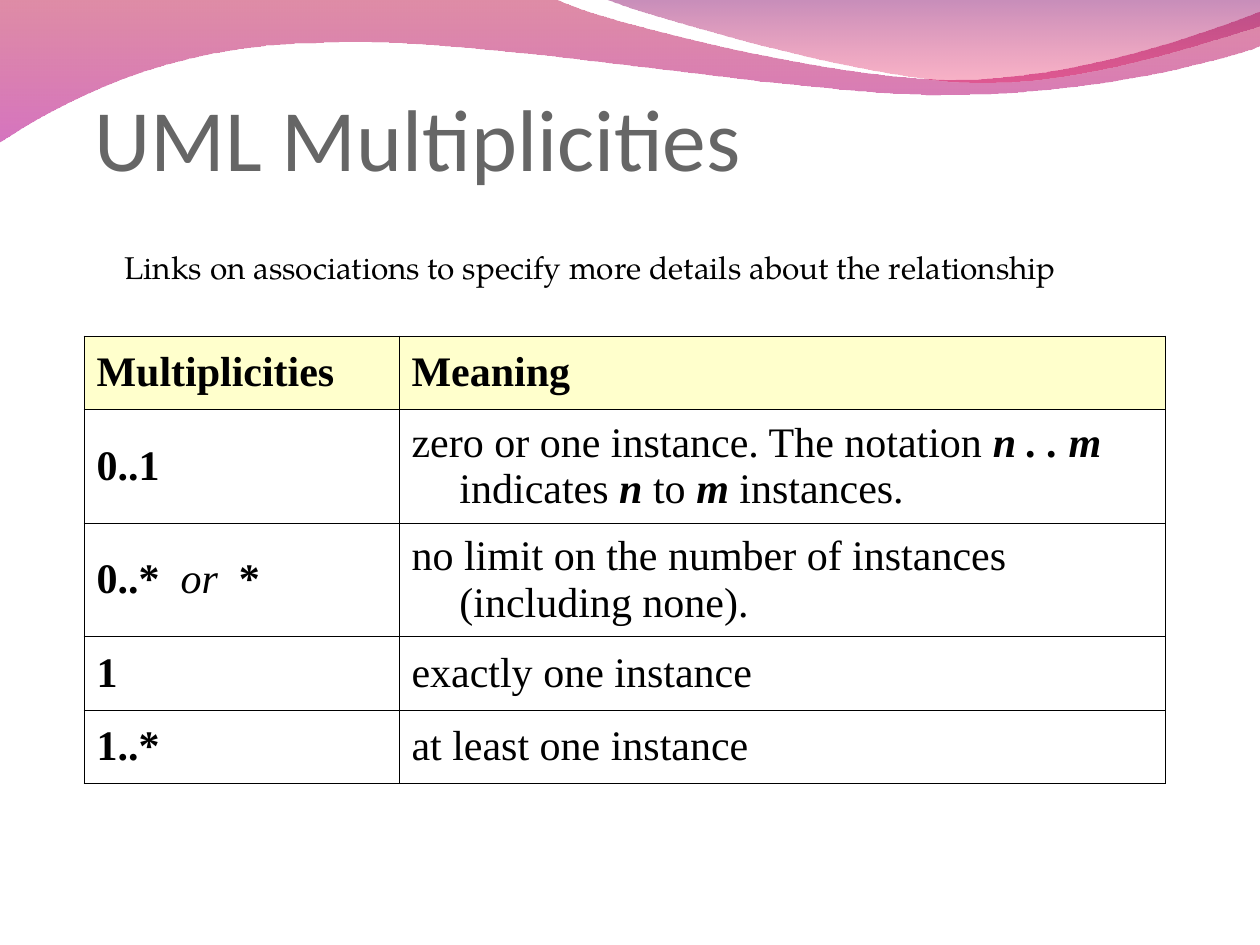
from lxml.etree import SubElement
from pptx import Presentation
from pptx.dml.color import RGBColor
from pptx.enum.text import MSO_ANCHOR
from pptx.oxml.ns import qn
from pptx.util import Inches, Pt

WAVES = [
    ([("B8003B", 45), ("B4008B", 55)], [
        [(0, -0.01)],
        [(4.4, -0.01)],
        [(4.76, 0.17), (6.64, 0.63), (7.58, 0.63)],
        [(8.53, 0.63), (9.58, 0.26), (10, 0.09)],
        [(10.01, 0.36)],
        [(9.83, 0.44), (8.7, 0.76), (7.46, 0.75)],
        [(6.22, 0.75), (3.82, 0.28), (2.57, 0.34)],
        [(1.29, 0.35), (0.46, 0.83), (-0.01, 1.13)],
    ]),
    ([("820066", 45), ("F10044", 30)], [
        [(4.79, -0.01)],
        [(5.09, 0.11), (6.82, 0.62), (7.69, 0.65)],
        [(8.56, 0.69), (9.61, 0.32), (10, 0.21)],
        [(10, 0)],
    ]),
]
COLUMN_WIDTHS = [2.5, 6.08]
SINGLE_LINE, DOUBLE_LINE = 7 / 12, 0.9
ROW_HEIGHTS = [SINGLE_LINE, DOUBLE_LINE, DOUBLE_LINE, SINGLE_LINE, SINGLE_LINE]
ROWS = [
    ([("Multiplicities", "b")], [("Meaning", "b")]),
    ([("0..1", "b")],
     [("zero or one instance. The notation ", ""), ("n . . m", "bi"), (" indicates ", ""),
      ("n", "bi"), (" to ", ""), ("m", "bi"), (" instances.", "")]),
    ([("0..*", "b"), ("  or  ", "i"), ("*", "b")],
     [("no limit on the number of instances (including none).", "")]),
    ([("1", "b")], [("exactly one instance", "")]),
    ([("1..*", "b")], [("at least one instance", "")]),
]


def color(value):
    return RGBColor.from_string(value)


def set_font(para, name, size, value):
    para.font.name = name
    para.font.size = Pt(size)
    para.font.color.rgb = color(value)


def bend_segments(wave, segments):
    lines = wave.element.spPr.iter(qn("a:lnTo"))
    pieces = [[next(lines) for point in segment] for segment in segments]
    for first, *others in pieces:
        if others:
            first.tag = qn("a:cubicBezTo")
            for line in others:
                first.append(line[0])
                line.getparent().remove(line)


def add_wave(page, left, top, stops, segments):
    outline = [(Inches(x), Inches(y)) for segment in segments for x, y in segment]
    builder = page.shapes.build_freeform(*outline[0])
    builder.add_line_segments(outline[1:], close=True)
    wave = builder.convert_to_shape(Inches(left), Inches(top))
    bend_segments(wave, segments[1:])
    wave.shadow.inherit = False
    wave.line.fill.background()
    wave.fill.gradient()
    wave.fill.gradient_angle = 270
    for stop, (value, opacity) in zip(wave.fill.gradient_stops, stops):
        stop.color.rgb = color(value)
    for shade, (value, opacity) in zip(wave.element.spPr.iter(qn("a:srgbClr")), stops):
        SubElement(shade, qn("a:alpha")).set("val", str(opacity * 1000))


def add_text(page, left, top, width, height, text, name, size, value):
    box = page.shapes.add_textbox(Inches(left), Inches(top), Inches(width), Inches(height))
    frame = box.text_frame
    frame.word_wrap = True
    frame.text = text
    set_font(frame.paragraphs[0], name, size, value)
    return frame


def add_title(page, left, top, width, height):
    frame = add_text(page, left, top, width, height, "UML Multiplicities", "Calibri", 50, "666666")
    frame.vertical_anchor = MSO_ANCHOR.BOTTOM
    frame.margin_left = frame.margin_right = frame.margin_bottom = 0


def add_borders(cell):
    properties = cell._tc.get_or_add_tcPr()
    for side in ("lnL", "lnR", "lnT", "lnB"):
        border = SubElement(properties, qn(f"a:{side}"), w=str(Pt(0.34)))
        fill = SubElement(border, qn("a:solidFill"))
        SubElement(fill, qn("a:srgbClr"), val="000000")


def fill_cell(cell, spans, header):
    add_borders(cell)
    cell.vertical_anchor = MSO_ANCHOR.MIDDLE
    if header:
        cell.fill.solid()
        cell.fill.fore_color.rgb = color("FFFFCC")
    else:
        cell.fill.background()
    para = cell.text_frame.paragraphs[0]
    properties = para._p.get_or_add_pPr()
    properties.set("marL", str(Inches(0.38)))
    properties.set("indent", str(-Inches(0.38)))
    set_font(para, "Times New Roman", 24, "000000")
    for text, style in spans:
        span = para.add_run()
        span.text = text
        span.font.bold = "b" in style
        span.font.italic = "i" in style


def add_multiplicity_table(page, left, top):
    table = page.shapes.add_table(
        len(ROWS), len(COLUMN_WIDTHS), Inches(left), Inches(top),
        Inches(sum(COLUMN_WIDTHS)), Inches(sum(ROW_HEIGHTS))).table
    table.first_row = table.horz_banding = False
    for column, width in zip(table.columns, COLUMN_WIDTHS):
        column.width = Inches(width)
    for index, (row, height) in enumerate(zip(table.rows, ROW_HEIGHTS)):
        row.height = Inches(height)
        for cell, spans in zip(row.cells, ROWS[index]):
            fill_cell(cell, spans, index == 0)


def main():
    deck = Presentation()
    deck.slide_width, deck.slide_height = Inches(10), Inches(7.5)
    page = deck.slides.add_slide(deck.slide_layouts[6])
    for stops, segments in WAVES:
        add_wave(page, 0, 0, stops, segments)
    add_title(page, 0.75, 0.25, 8.5, 1.25)
    add_multiplicity_table(page, 2 / 3, 8 / 3)
    add_text(page, 0.89, 1.92, 8.19, 0.4,
             "Links on associations to specify more details about the relationship",
             "TeX Gyre Pagella", 18, "000000")
    deck.save("out.pptx")


if __name__ == "__main__":
    main()
